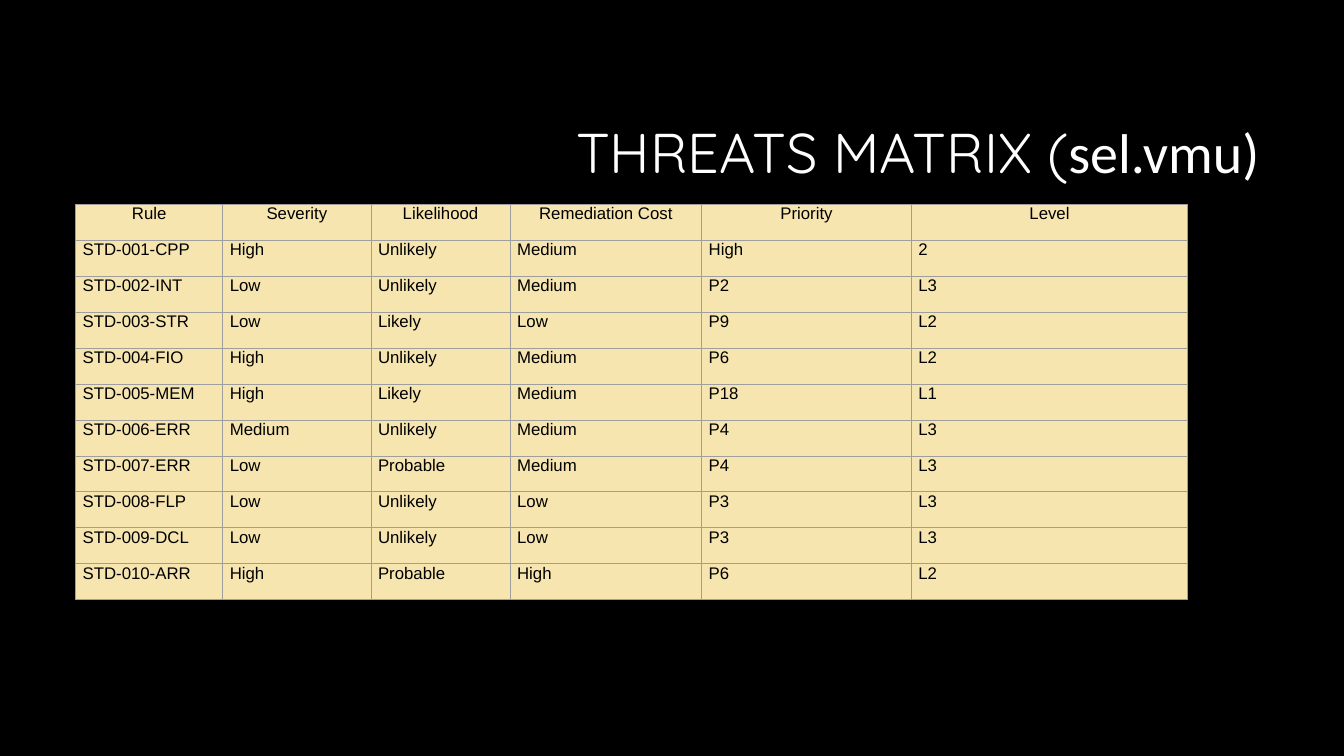
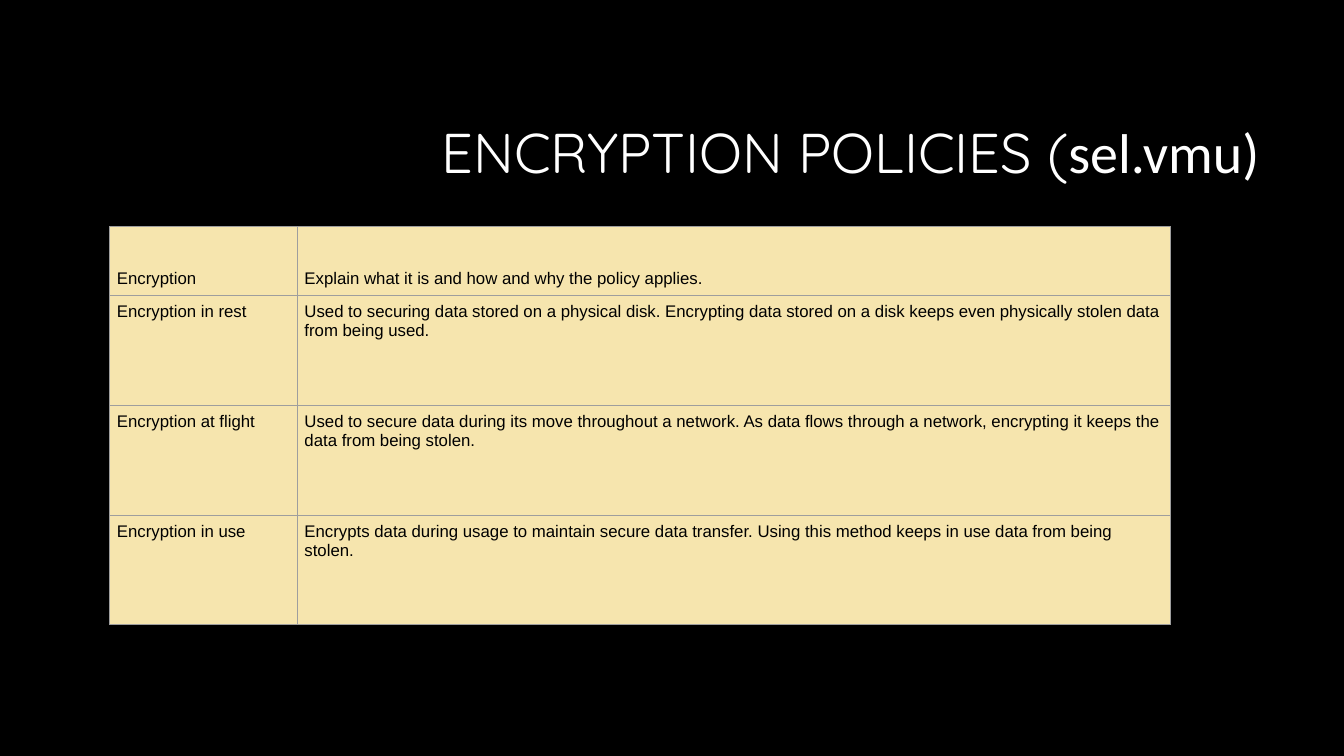
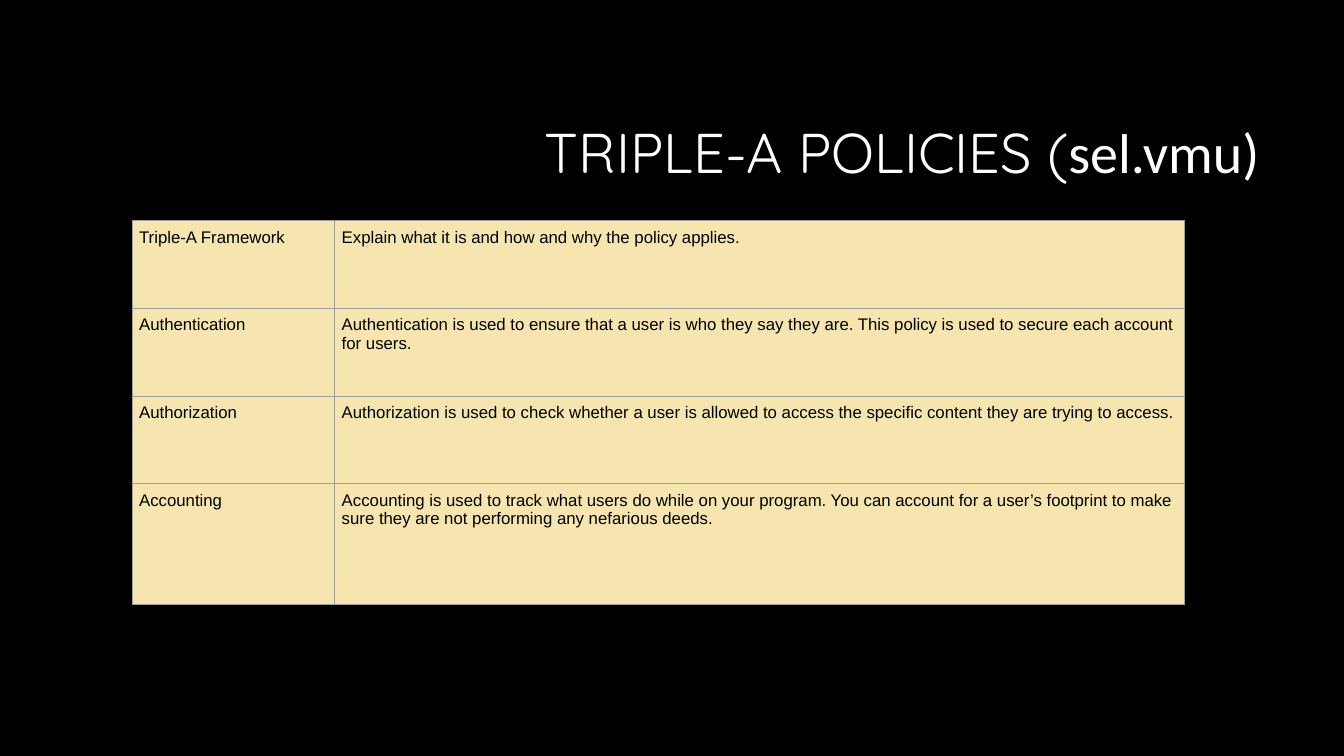
from dataclasses import dataclass

from lxml.etree import SubElement
from pptx import Presentation
from pptx.dml.color import RGBColor
from pptx.enum.text import MSO_ANCHOR, PP_ALIGN
from pptx.oxml.ns import qn
from pptx.util import Inches, Pt


@dataclass(frozen=True)
class Theme:
    background: str = "000000"
    title_color: str = "FFFFFF"
    text_color: str = "000000"
    cell_fill: str = "F6E5AE"
    border: str = "9E9E9E"
    border_width: float = 0.75
    title_font: str = "Quicksand"
    source_font: str = "Calibri"
    body_font: str = "Arial"
    title_size: int = 40
    body_size: int = 12
    cell_margin: float = 0.07


THEME = Theme()
SOURCE = "sel.vmu)"

THREATS = [
    ("Rule", "Severity", "Likelihood", "Remediation Cost", "Priority", "Level"),
    ("STD-001-CPP", "High", "Unlikely", "Medium", "High", "2"),
    ("STD-002-INT", "Low", "Unlikely", "Medium", "P2", "L3"),
    ("STD-003-STR", "Low", "Likely", "Low", "P9", "L2"),
    ("STD-004-FIO", "High", "Unlikely", "Medium", "P6", "L2"),
    ("STD-005-MEM", "High", "Likely", "Medium", "P18", "L1"),
    ("STD-006-ERR", "Medium", "Unlikely", "Medium", "P4", "L3"),
    ("STD-007-ERR", "Low", "Probable", "Medium", "P4", "L3"),
    ("STD-008-FLP", "Low", "Unlikely", "Low", "P3", "L3"),
    ("STD-009-DCL", "Low", "Unlikely", "Low", "P3", "L3"),
    ("STD-010-ARR", "High", "Probable", "High", "P6", "L2"),
]

ENCRYPTION = [
    ("Encryption", "Explain what it is and how and why the policy applies."),
    ("Encryption in rest",
     "Used to securing data stored on a physical disk. Encrypting data stored "
     "on a disk keeps even physically stolen data from being used."),
    ("Encryption at flight",
     "Used to secure data during its move throughout a network. As data flows "
     "through a network, encrypting it keeps the data from being stolen."),
    ("Encryption in use",
     "Encrypts data during usage to maintain secure data transfer. Using this "
     "method keeps in use data from being stolen."),
]

TRIPLE_A = [
    ("Triple-A Framework", "Explain what it is and how and why the policy applies."),
    ("Authentication",
     "Authentication is used to ensure that a user is who they say they are. "
     "This policy is used to secure each account for users."),
    ("Authorization",
     "Authorization is used to check whether a user is allowed to access the "
     "specific content they are trying to access."),
    ("Accounting",
     "Accounting is used to track what users do while on your program. You can "
     "account for a user’s footprint to make sure they are not performing any "
     "nefarious deeds."),
]


def add_text(p, text, font=THEME.body_font, size=THEME.body_size,
             color=THEME.text_color, align=PP_ALIGN.LEFT):
    p.alignment = align
    r = p.add_run()
    r.text = text
    r.font.name = font
    r.font.size = Pt(size)
    r.font.color.rgb = RGBColor.from_string(color)


def add_titled_slide(prs, title):
    s = prs.slides.add_slide(prs.slide_layouts[5])
    sp = s.shapes.title
    sp.left, sp.top = Inches(3.17), Inches(0.84)
    sp.width, sp.height = Inches(9.42), Inches(1.41)
    tf = sp.text_frame
    tf.word_wrap = True
    tf.vertical_anchor = MSO_ANCHOR.MIDDLE
    p = tf.paragraphs[0]
    p.line_spacing = 0.9
    for text, font in ((f"{title} (", THEME.title_font), (SOURCE, THEME.source_font)):
        add_text(p, text, font=font, size=THEME.title_size,
                 color=THEME.title_color, align=PP_ALIGN.RIGHT)
    return s


def add_borders(cell):
    tc_pr = cell._tc.get_or_add_tcPr()
    for side in ("lnL", "lnR", "lnT", "lnB"):
        ln = SubElement(tc_pr, qn(f"a:{side}"), w=str(Pt(THEME.border_width)))
        fill = SubElement(ln, qn("a:solidFill"))
        SubElement(fill, qn("a:srgbClr"), val=THEME.border)


def format_cell(cell, margin_y, anchor):
    add_borders(cell)
    cell.fill.solid()
    cell.fill.fore_color.rgb = RGBColor.from_string(THEME.cell_fill)
    cell.margin_left = cell.margin_right = Inches(THEME.cell_margin)
    cell.margin_top = cell.margin_bottom = Inches(margin_y)
    cell.vertical_anchor = anchor


def add_grid(s, rows, left, top, widths, heights, margin_y=THEME.cell_margin,
             head_align=PP_ALIGN.LEFT, head_anchor=MSO_ANCHOR.TOP):
    table = s.shapes.add_table(
        len(rows), len(widths), Inches(left), Inches(top),
        Inches(sum(widths)), Inches(sum(heights))).table
    for column, width in zip(table.columns, widths):
        column.width = Inches(width)
    for i, (row, height, texts) in enumerate(zip(table.rows, heights, rows)):
        row.height = Inches(height)
        align = PP_ALIGN.LEFT if i else head_align
        anchor = MSO_ANCHOR.TOP if i else head_anchor
        for cell, text in zip(row.cells, texts):
            format_cell(cell, margin_y, anchor)
            add_text(cell.text_frame.paragraphs[0], text, align=align)


def main():
    prs = Presentation()
    prs.slide_width, prs.slide_height = Inches(13.33), Inches(7.5)
    background = prs.slide_master.background.fill
    background.solid()
    background.fore_color.rgb = RGBColor.from_string(THEME.background)

    s = add_titled_slide(prs, "THREATS MATRIX")
    add_grid(s, THREATS, 0.75, 2.03, [1.46, 1.47, 1.38, 1.9, 2.08, 2.74],
             [3.92 / len(THREATS)] * len(THREATS), margin_y=0,
             head_align=PP_ALIGN.CENTER)

    s = add_titled_slide(prs, "ENCRYPTION POLICIES")
    add_grid(s, ENCRYPTION, 1.09, 2.25, [1.86, 8.66], [0.68] + [1.09] * 3,
             head_anchor=MSO_ANCHOR.BOTTOM)

    s = add_titled_slide(prs, "TRIPLE-A POLICIES")
    add_grid(s, TRIPLE_A, 1.31, 2.19, [2.01, 8.43], [0.87] * 3 + [1.2])

    prs.save("out.pptx")


if __name__ == "__main__":
    main()
